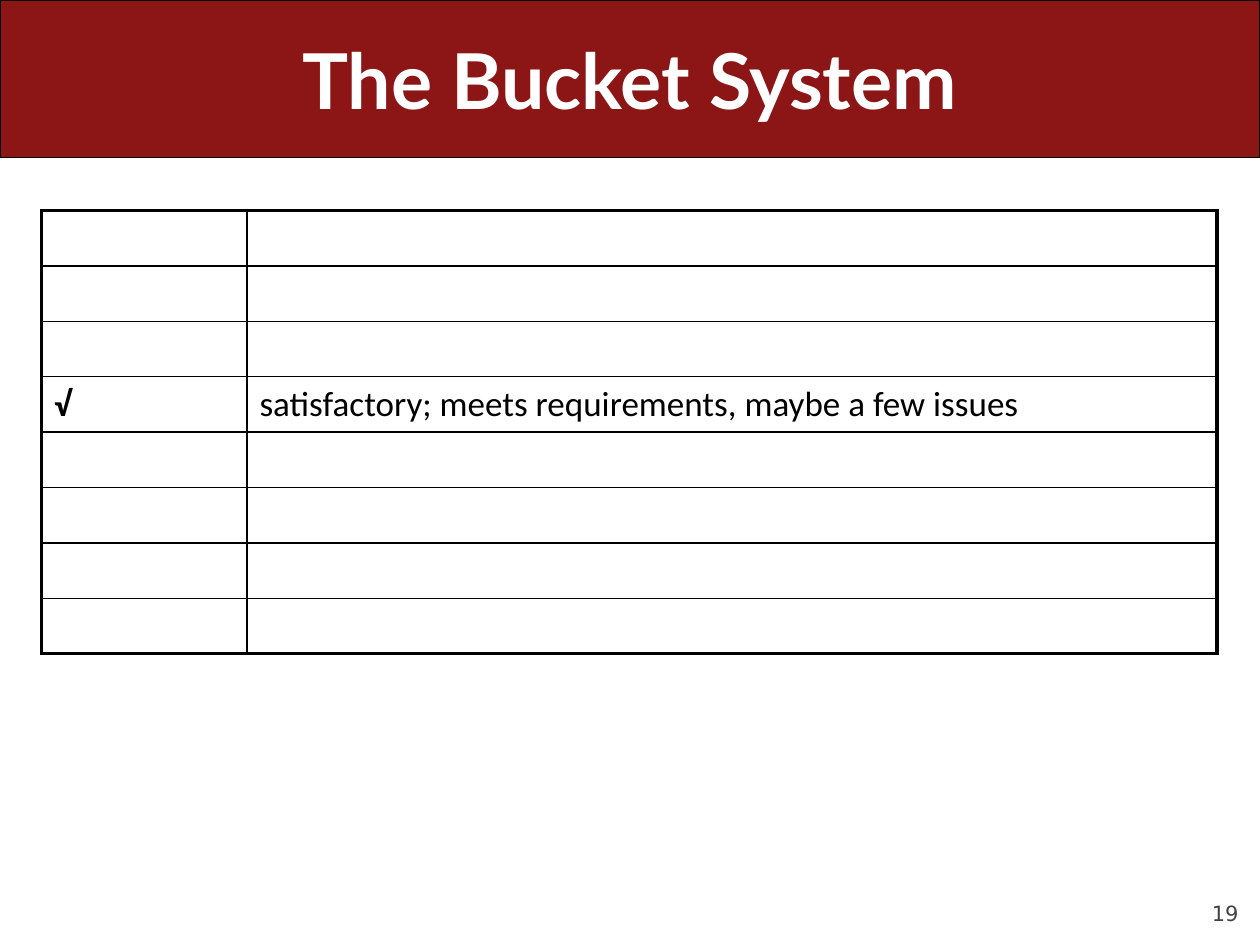
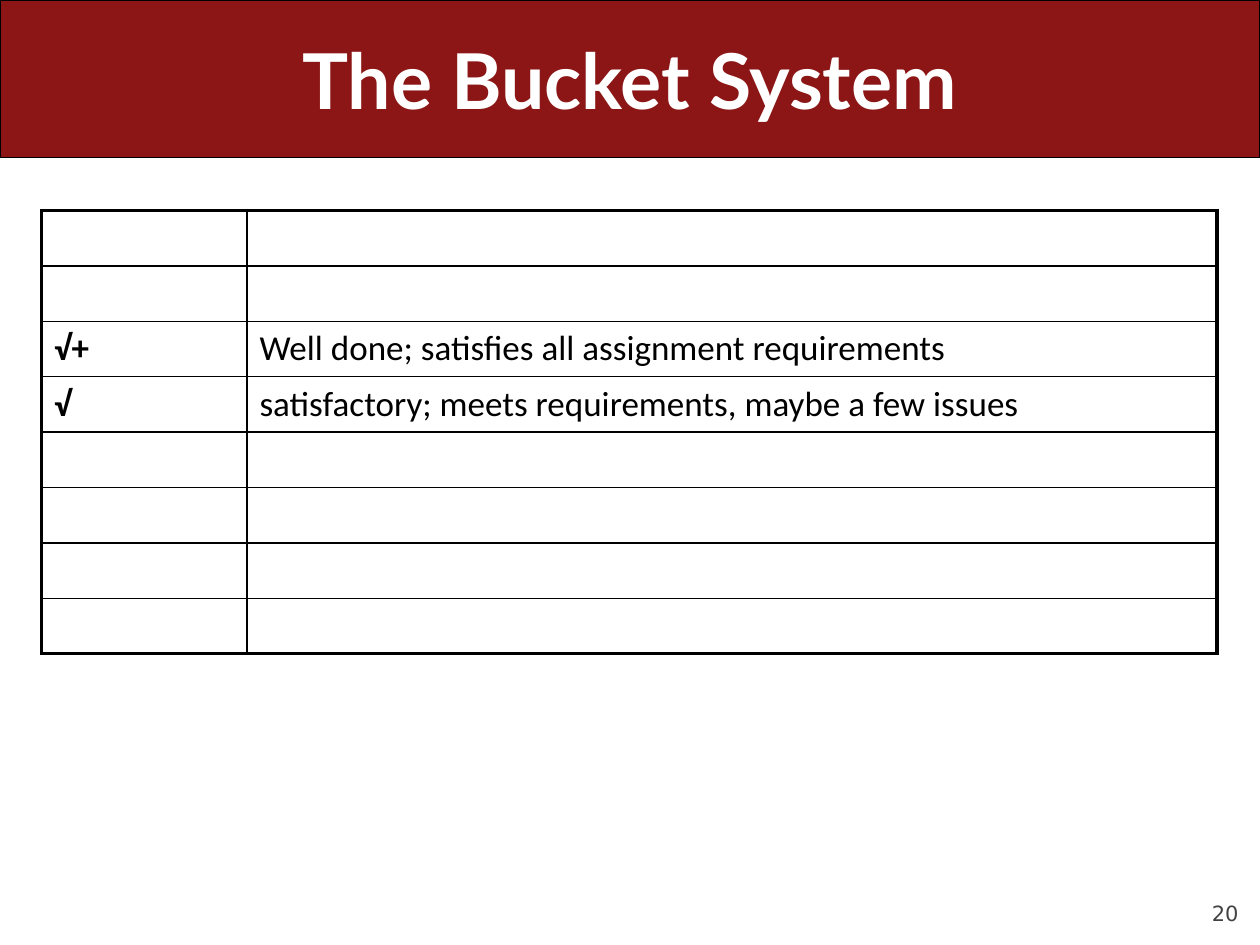
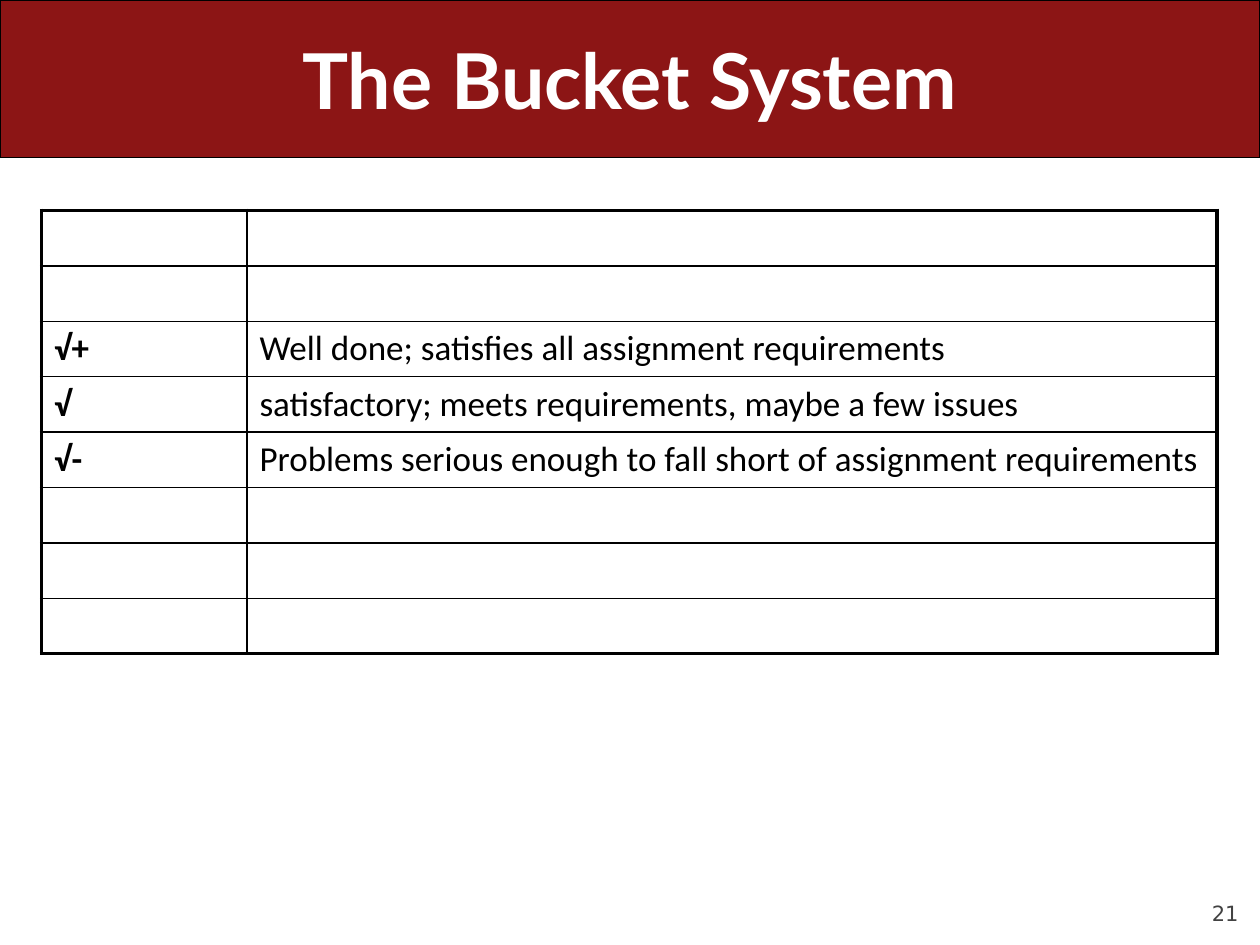
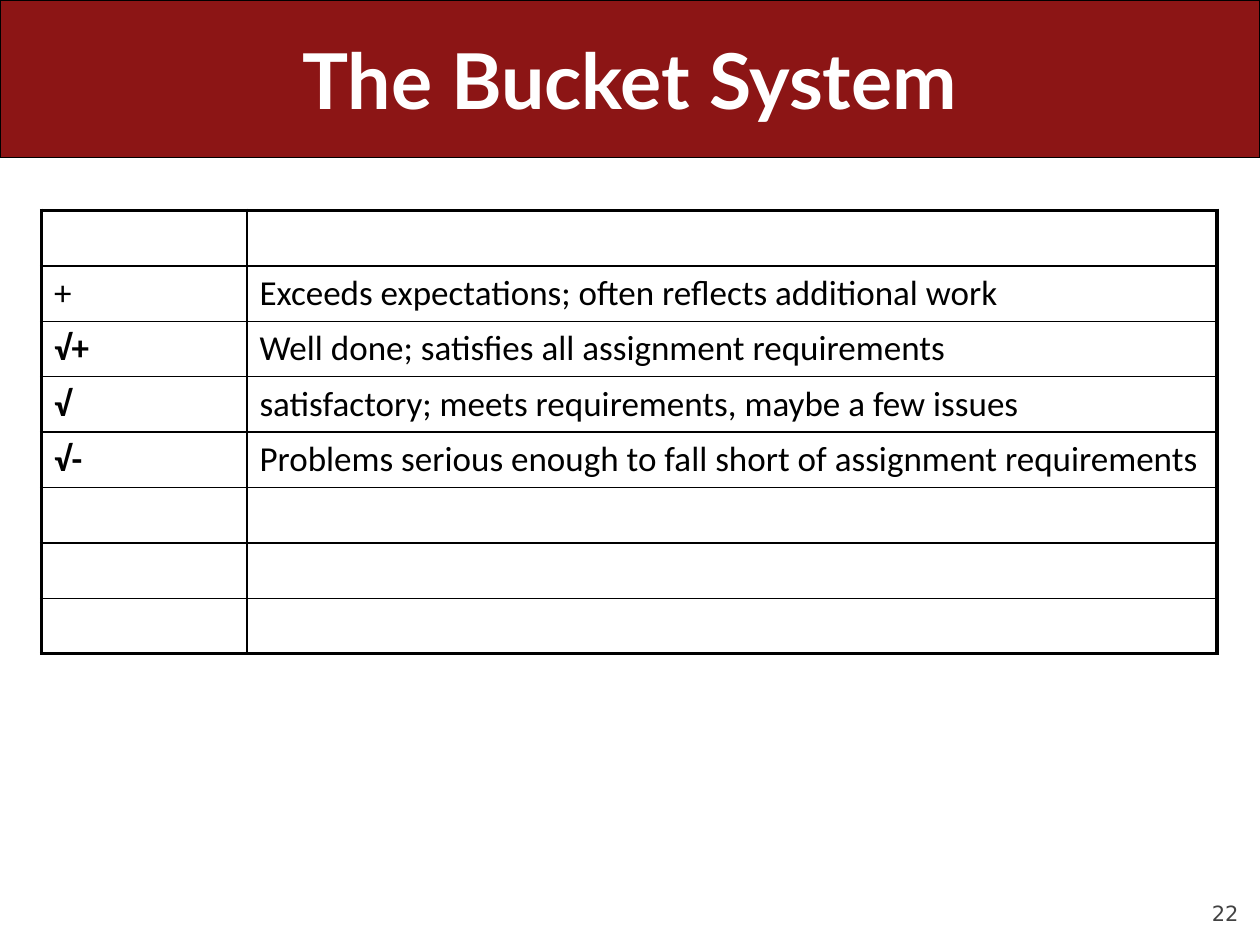
from dataclasses import dataclass

from lxml.etree import SubElement
from pptx import Presentation
from pptx.dml.color import RGBColor
from pptx.enum.shapes import MSO_SHAPE
from pptx.enum.text import MSO_ANCHOR, PP_ALIGN
from pptx.oxml.ns import qn
from pptx.slide import Slide
from pptx.table import Table, _Cell
from pptx.text.text import TextFrame
from pptx.util import Inches, Pt

CARDINAL = "8C1515"
BLACK = "000000"
WHITE = "FFFFFF"
GREY = "424242"

TITLE = "The Bucket System"
FIRST_PAGE = 19
ROW_COUNT = 8
ROW_HEIGHT = 0.44
COLUMN_WIDTHS = (1.63, 7.7)
OUTER_BORDER = 2.25
INNER_BORDER = 1


@dataclass(frozen=True)
class Bucket:
    row: int
    mark: str
    meaning: str
    bold: bool = True


@dataclass(frozen=True)
class Box:
    left: float
    top: float
    width: float
    height: float

    def lengths(self) -> tuple:
        return tuple(map(Inches, (self.left, self.top, self.width, self.height)))


PLUS = Bucket(1, "+", "Exceeds expectations; often reflects additional work", bold=False)
CHECK_PLUS = Bucket(2, "√+", "Well done; satisfies all assignment requirements")
CHECK = Bucket(3, "√", "satisfactory; meets requirements, maybe a few issues")
CHECK_MINUS = Bucket(4, "√-", "Problems serious enough to fall short of assignment requirements")

REVEALS = (
    (CHECK,),
    (CHECK_PLUS, CHECK),
    (CHECK_PLUS, CHECK, CHECK_MINUS),
    (PLUS, CHECK_PLUS, CHECK, CHECK_MINUS),
)

BAND = Box(0, 0, 10, 1.25)
TITLE_BOX = Box(0.5, 0, 9, 1.25)
PAGE_BOX = Box(9, 6.95, 0.83, 0.4)
TABLE_BOX = Box(0.33, 1.67, sum(COLUMN_WIDTHS), ROW_COUNT * ROW_HEIGHT)


def color(value: str) -> RGBColor:
    return RGBColor.from_string(value)


def write(frame: TextFrame, text: str, *, size: float, font: str = "Calibri",
          fill: str = BLACK, bold: bool = False, align: PP_ALIGN = PP_ALIGN.LEFT) -> None:
    paragraph = frame.paragraphs[0]
    paragraph.alignment = align
    run = paragraph.add_run()
    run.text = text
    run.font.size = Pt(size)
    run.font.name = font
    run.font.bold = bold
    run.font.color.rgb = color(fill)


def add_text_frame(slide: Slide, box: Box, anchor: MSO_ANCHOR) -> TextFrame:
    frame = slide.shapes.add_textbox(*box.lengths()).text_frame
    frame.word_wrap = True
    frame.vertical_anchor = anchor
    return frame


def add_page_number(slide: Slide, number: int) -> None:
    frame = add_text_frame(slide, PAGE_BOX, MSO_ANCHOR.BOTTOM)
    frame.margin_left = frame.margin_right = frame.margin_top = frame.margin_bottom = 0
    write(frame, str(number), size=12, font="DejaVu Sans", fill=GREY, align=PP_ALIGN.RIGHT)


def add_title(slide: Slide) -> None:
    band = slide.shapes.add_shape(MSO_SHAPE.ROUNDED_RECTANGLE, *BAND.lengths())
    band.adjustments[0] = 0
    band.shadow.inherit = False
    band.fill.solid()
    band.fill.fore_color.rgb = color(CARDINAL)
    band.line.color.rgb = color(BLACK)
    band.line.width = Pt(0.75)
    frame = add_text_frame(slide, TITLE_BOX, MSO_ANCHOR.MIDDLE)
    write(frame, TITLE, size=44, font="Lato", fill=WHITE, bold=True, align=PP_ALIGN.CENTER)


def set_borders(cell: _Cell, outer: dict[str, bool]) -> None:
    properties = cell._tc.get_or_add_tcPr()
    for side, is_outer in outer.items():
        width = Pt(OUTER_BORDER if is_outer else INNER_BORDER)
        line = SubElement(properties, qn(f"a:ln{side}"), w=str(width))
        SubElement(SubElement(line, qn("a:solidFill")), qn("a:srgbClr"), val=BLACK)


def format_grid(table: Table) -> None:
    last_row, last_column = ROW_COUNT - 1, len(COLUMN_WIDTHS) - 1
    for column, width in zip(table.columns, COLUMN_WIDTHS):
        column.width = Inches(width)
    for row_index, row in enumerate(table.rows):
        row.height = Inches(ROW_HEIGHT)
        for column_index, cell in enumerate(row.cells):
            set_borders(cell, {
                "L": column_index == 0,
                "R": column_index == last_column,
                "T": row_index == 0,
                "B": row_index == last_row,
            })
            cell.fill.background()


def add_bucket_table(slide: Slide, buckets: tuple[Bucket, ...]) -> None:
    frame = slide.shapes.add_table(ROW_COUNT, len(COLUMN_WIDTHS), *TABLE_BOX.lengths())
    table = frame.table
    table.first_row = False
    table.horz_banding = False
    format_grid(table)
    for bucket in buckets:
        write(table.cell(bucket.row, 0).text_frame, bucket.mark, size=20, bold=bucket.bold)
        write(table.cell(bucket.row, 1).text_frame, bucket.meaning, size=20)


def main() -> None:
    presentation = Presentation()
    presentation.slide_width = Inches(10)
    presentation.slide_height = Inches(7.5)
    for number, buckets in enumerate(REVEALS, start=FIRST_PAGE):
        slide = presentation.slides.add_slide(presentation.slide_layouts[6])
        add_page_number(slide, number)
        add_title(slide)
        add_bucket_table(slide, buckets)
    presentation.save("out.pptx")


if __name__ == "__main__":
    main()
